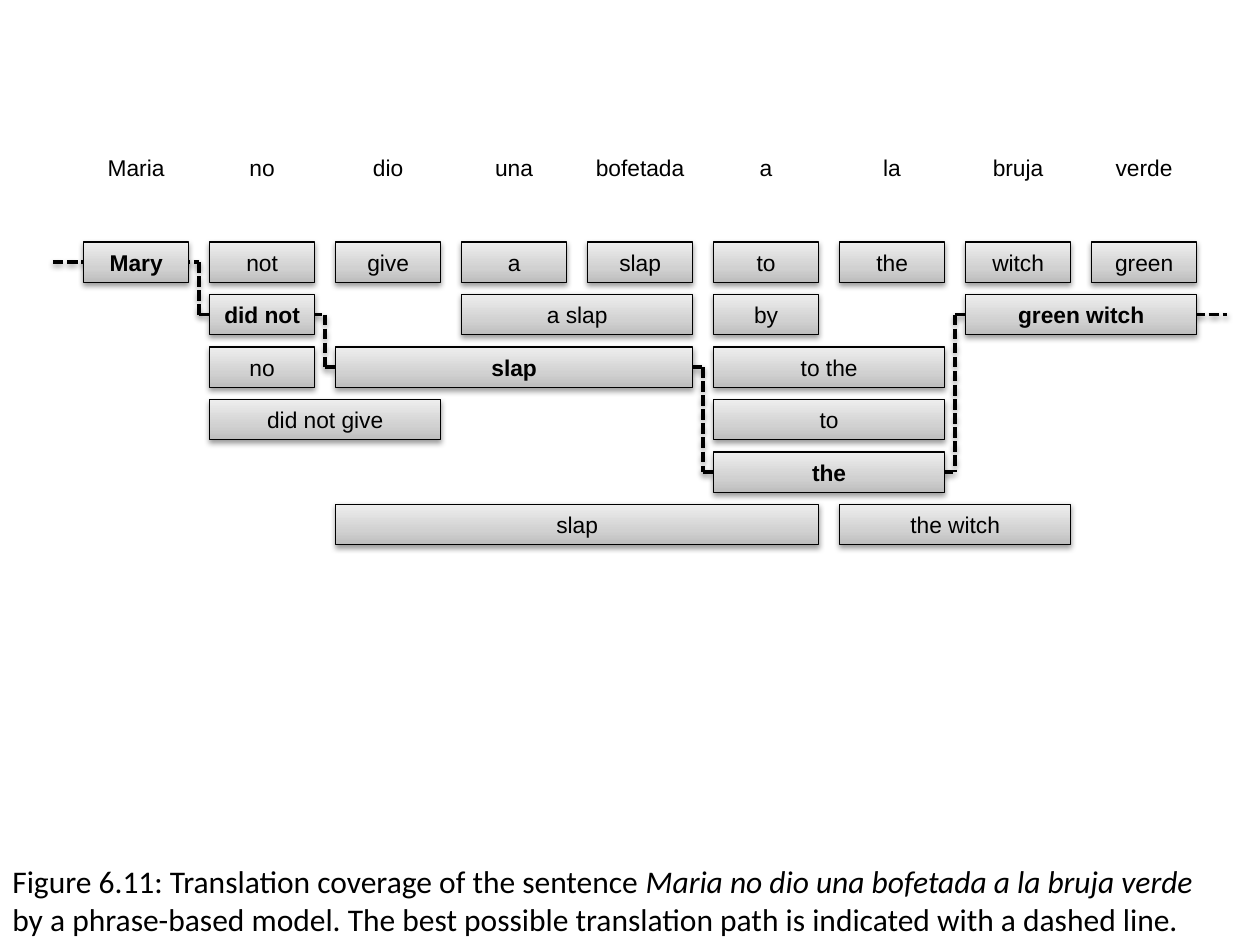
import copy
import itertools

import pptx
import pptx.dml.color
import pptx.enum.dml
import pptx.enum.shapes
import pptx.enum.text
import pptx.oxml
import pptx.oxml.ns
import pptx.util
from pptx.util import Inches

BLACK = pptx.dml.color.RGBColor(0x00, 0x00, 0x00)
GRADIENT = [
    (0, pptx.dml.color.RGBColor(0xBD, 0xBD, 0xBD)),
    (0.35, pptx.dml.color.RGBColor(0xD1, 0xD1, 0xD1)),
    (1, pptx.dml.color.RGBColor(0xEE, 0xEE, 0xEE)),
]
SHADOW_XML = (
    f'<a:effectLst {pptx.oxml.ns.nsdecls("a")}>'
    '<a:outerShdw blurRad="40000" dist="20000" dir="5400000" rotWithShape="0">'
    '<a:srgbClr val="000000"><a:alpha val="38000"/></a:srgbClr>'
    '</a:outerShdw></a:effectLst>'
)

# Grid: one column for each Spanish word, twelve rows in five inches
COLUMN_WIDTH = Inches(1)
ROW_STEP = Inches(5) // 12
BOX_HEIGHT = Inches(0.32)
BOX_INSET = COLUMN_WIDTH // 12
PATH_OVERHANG = Inches(0.16)

SPANISH_WORDS = ["Maria", "no", "dio", "una", "bofetada", "a", "la", "bruja", "verde"]
ENGLISH_WORDS = ["Mary", "not", "give", "a", "slap", "to", "the", "witch", "green"]

# Longer or alternative phrases: text, row, first column, columns covered
PHRASES = [
    ("did not", 1, 1, 1),
    ("no", 2, 1, 1),
    ("did not give", 3, 1, 2),
    ("slap", 2, 2, 3),
    ("a slap", 1, 3, 2),
    ("to the", 2, 5, 2),
    ("to", 3, 5, 2),
    ("the", 4, 5, 2),
    ("green witch", 1, 7, 2),
    ("the witch", 5, 6, 2),
    ("by", 1, 5, 1),
    ("slap", 5, 2, 4),
]
# The best path as (row, first column, columns covered)
BEST_PATH = [(0, 0, 1), (1, 1, 1), (2, 2, 3), (4, 5, 2), (1, 7, 2)]


def add_shadow(shape):
    shape._element.spPr.append(pptx.oxml.parse_xml(SHADOW_XML))


def set_label(shape, text, bold=False):
    frame = shape.text_frame
    frame.word_wrap = True
    frame.margin_left = frame.margin_right = Inches(0.05)
    frame.vertical_anchor = pptx.enum.text.MSO_ANCHOR.MIDDLE
    paragraph = frame.paragraphs[0]
    paragraph.text = text
    paragraph.alignment = pptx.enum.text.PP_ALIGN.CENTER
    paragraph.font.name = "Arial"
    paragraph.font.size = pptx.util.Pt(13)
    paragraph.font.bold = bold
    paragraph.font.color.rgb = BLACK


def fill_with_gradient(shape):
    shape.fill.gradient()
    shape.fill.gradient_angle = 90
    stop_list = shape._element.spPr.find(".//" + pptx.oxml.ns.qn("a:gsLst"))
    stop_list.append(copy.deepcopy(stop_list[0]))
    for stop, (position, color) in zip(shape.fill.gradient_stops, GRADIENT):
        stop.position = position
        stop.color.rgb = color


def add_source_sentence(shapes, left, top):
    for column, word in enumerate(SPANISH_WORDS):
        label = shapes.add_textbox(left + column * COLUMN_WIDTH, top, COLUMN_WIDTH, BOX_HEIGHT)
        set_label(label, word)


def add_phrase_boxes(shapes, left, top):
    words = [(word, 0, column, 1) for column, word in enumerate(ENGLISH_WORDS)]
    for text, row, column, span in words + PHRASES:
        box = shapes.add_shape(
            pptx.enum.shapes.MSO_SHAPE.RECTANGLE,
            left + column * COLUMN_WIDTH + BOX_INSET,
            top + row * ROW_STEP,
            span * COLUMN_WIDTH - 2 * BOX_INSET,
            BOX_HEIGHT,
        )
        fill_with_gradient(box)
        box.line.color.rgb = BLACK
        box.line.width = pptx.util.Pt(0.75)
        add_shadow(box)
        set_label(box, text, bold=(row, column, span) in BEST_PATH)


def add_best_path(shapes, left, top):
    # Each step enters and leaves its phrase at mid-height
    points = []
    for row, column, span in BEST_PATH:
        middle = top + row * ROW_STEP + BOX_HEIGHT // 2
        start = left + column * COLUMN_WIDTH
        points += [(start, middle), (start + span * COLUMN_WIDTH, middle)]
    points[0] = (points[0][0] - PATH_OVERHANG, points[0][1])
    points[-1] = (points[-1][0] + PATH_OVERHANG, points[-1][1])

    for ends in itertools.pairwise(points):
        begin, end = sorted(ends)
        line = shapes.add_connector(pptx.enum.shapes.MSO_CONNECTOR.STRAIGHT, *begin, *end)
        line.line.color.rgb = BLACK
        line.line.width = pptx.util.Pt(2)
        line.line.dash_style = pptx.enum.dml.MSO_LINE.SQUARE_DOT
        add_shadow(line)


def add_caption(shapes, left, top, width, height):
    frame = shapes.add_textbox(left, top, width, height).text_frame
    frame.word_wrap = False
    first = frame.paragraphs[0]
    first.add_run().text = "Figure 6.11: Translation coverage of the sentence "
    sentence = first.add_run()
    sentence.text = "Maria no dio una bofetada a la bruja verde"
    sentence.font.italic = True
    second = frame.add_paragraph()
    second.text = (
        "by a phrase-based model. The best possible translation path "
        "is indicated with a dashed line."
    )
    for paragraph in frame.paragraphs:
        paragraph.font.name = "Calibri"
        paragraph.font.size = pptx.util.Pt(18)
        paragraph.font.color.rgb = BLACK


def main():
    presentation = pptx.Presentation()
    presentation.slide_width = Inches(10)
    presentation.slide_height = Inches(7.5)
    slide = presentation.slides.add_slide(presentation.slide_layouts[6])

    # Coverage diagram, with the path behind the boxes
    diagram = slide.shapes.add_group_shape().shapes
    left, top = Inches(0.58), Inches(1.92)
    add_best_path(diagram, left, top)
    add_source_sentence(diagram, left, Inches(1.17))
    add_phrase_boxes(diagram, left, top)

    # Figure caption
    add_caption(slide.shapes, 0, Inches(6.79), Inches(9.67), Inches(0.71))
    presentation.save("out.pptx")


if __name__ == "__main__":
    main()
